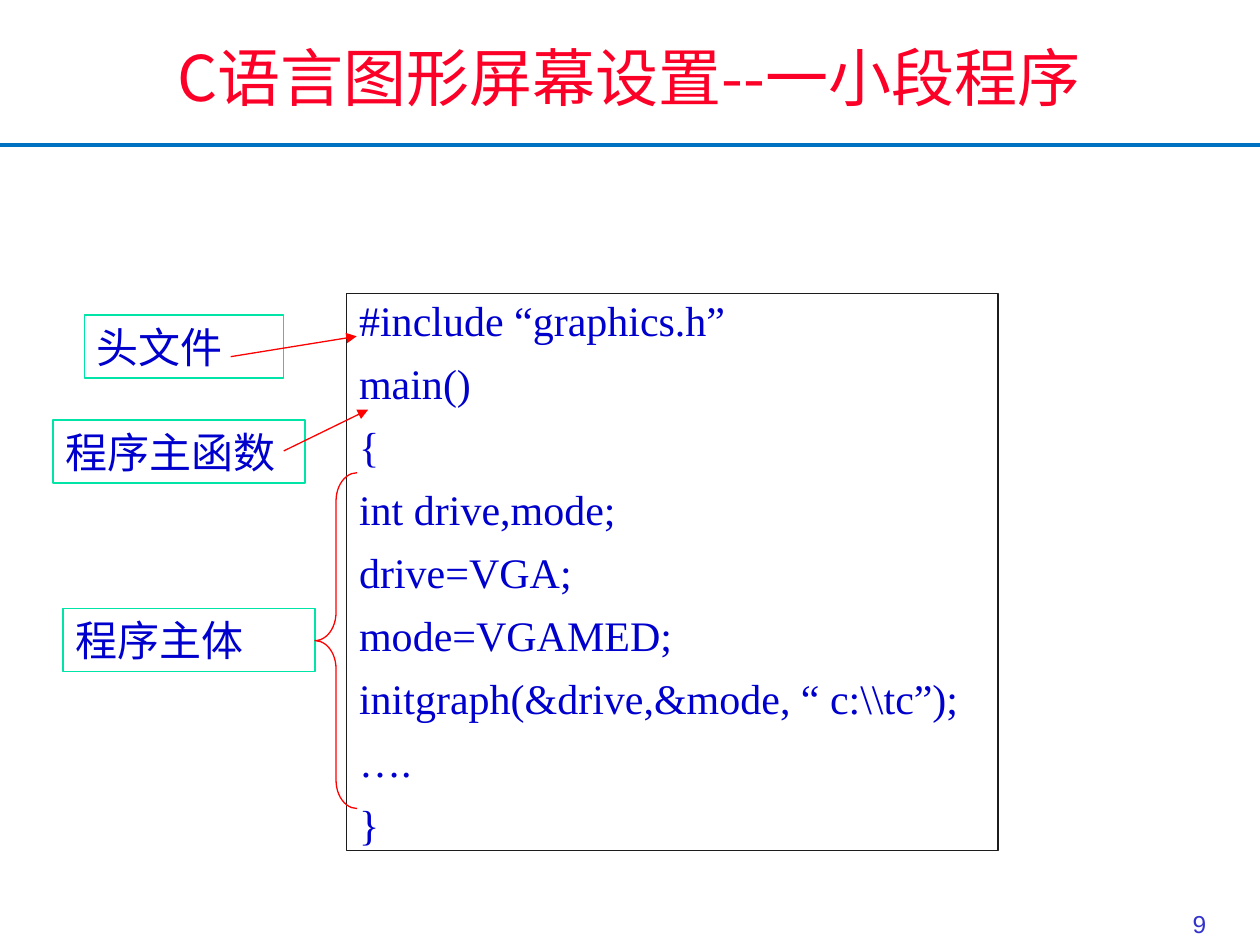
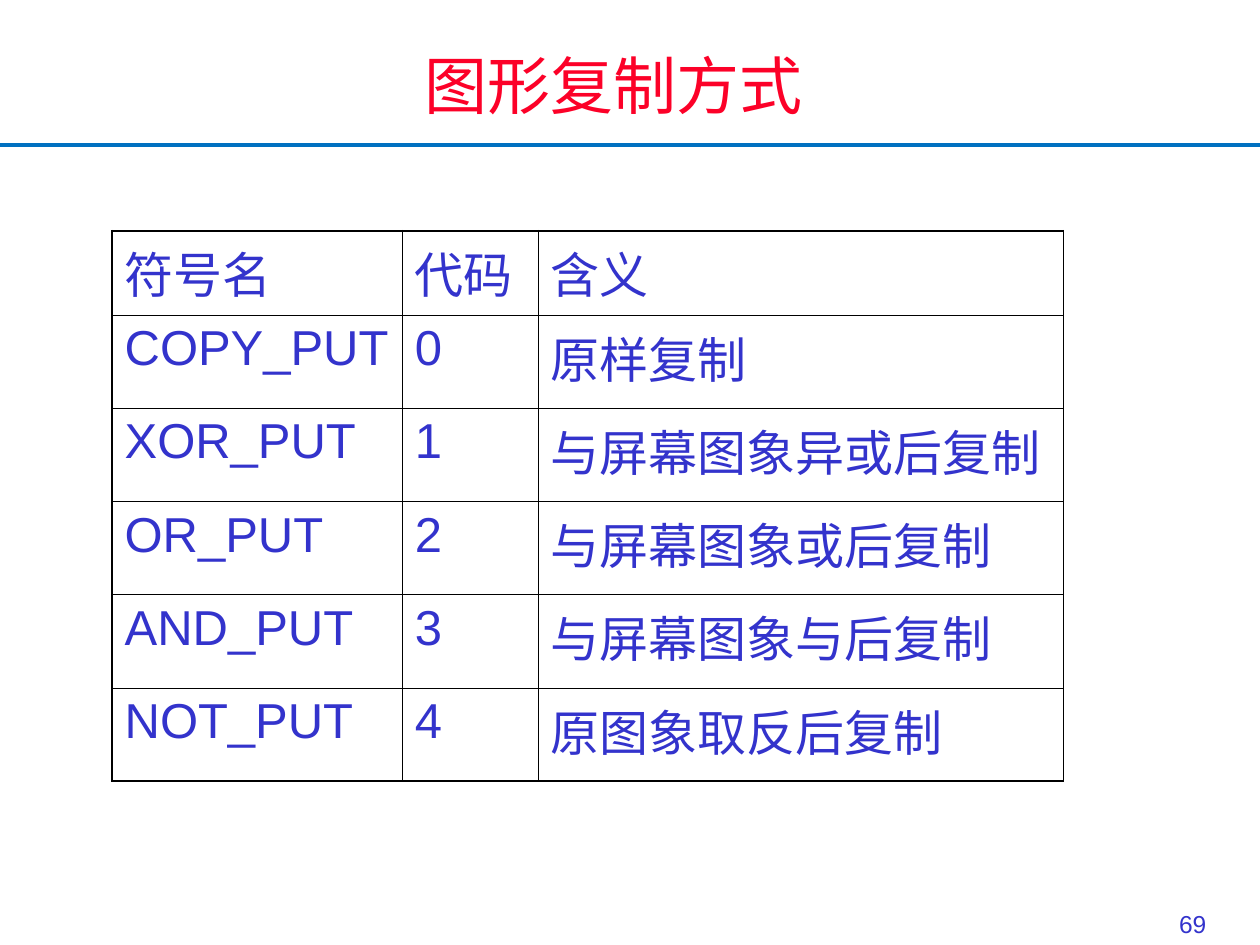
from lxml.etree import SubElement
from pptx import Presentation
from pptx.dml.color import RGBColor
from pptx.enum.lang import MSO_LANGUAGE_ID as Language
from pptx.enum.shapes import MSO_CONNECTOR as Connector, MSO_SHAPE as Shape
from pptx.enum.text import MSO_ANCHOR as Anchor, MSO_AUTO_SIZE as AutoSize, PP_ALIGN as Align
from pptx.oxml.ns import qn
from pptx.util import Cm, Pt

WHITE = RGBColor(0xFF, 0xFF, 0xFF)
BLACK = RGBColor(0x1C, 0x1C, 0x1C)
TITLE_RED = RGBColor(0xFC, 0x01, 0x28)
ARROW_RED = RGBColor(0xFF, 0x00, 0x00)
RULE_BLUE = RGBColor(0x00, 0x70, 0xC0)
CODE_BLUE = RGBColor(0x00, 0x00, 0xCC)
TEXT_BLUE = RGBColor(0x33, 0x33, 0xCC)
LABEL_GREEN = RGBColor(0x00, 0xE4, 0xA8)

CHINESE = Language.SIMPLIFIED_CHINESE
TITLE = {"name": "Noto Sans CJK SC", "size": Pt(36), "color": TITLE_RED, "language_id": CHINESE}
NUMBER = {"name": "Arial", "size": Pt(14), "color": TEXT_BLUE}
CODE = {"name": "Times New Roman", "size": Pt(24), "color": CODE_BLUE}
LABEL = {"name": "Roboto", "size": Pt(24), "color": CODE_BLUE, "language_id": CHINESE}
CELL = {"name": "Arial", "size": Pt(28), "color": TEXT_BLUE, "language_id": CHINESE}


def write_text(frame, lines, style, align=Align.LEFT, anchor=Anchor.MIDDLE, gap=0):
    frame.auto_size = AutoSize.NONE
    frame.word_wrap = True
    frame.vertical_anchor = anchor
    for index, line in enumerate(lines):
        paragraph = frame.paragraphs[0] if index == 0 else frame.add_paragraph()
        paragraph.alignment = align
        paragraph.space_before = Pt(gap if index else 0)
        run = paragraph.add_run()
        run.text = line
        for key, value in style.items():
            if key == "color":
                run.font.color.rgb = value
            else:
                setattr(run.font, key, value)


def draw_line(slide, ends, color, width):
    line = slide.shapes.add_connector(Connector.STRAIGHT, *[Cm(value) for value in ends])
    line.line.color.rgb = color
    line.line.width = Pt(width)
    SubElement(line.element.spPr, qn("a:effectLst"))
    return line


presentation = Presentation()
presentation.slide_width = Cm(25.4)
presentation.slide_height = Cm(19.05)

slides = []
for heading, number, box, align in [
    ("C语言图形屏幕设置--一小段程序", "9", (3.33, 0.64, 19.86, 2.08), Align.LEFT),
    ("图形复制方式", "69", (2.84, 0.81, 19.05, 1.73), Align.CENTER),
]:
    slide = presentation.slides.add_slide(presentation.slide_layouts[5])
    slides.append(slide)
    title = slide.shapes.title
    title.left, title.top, title.width, title.height = [Cm(value) for value in box]
    title.fill.solid()
    title.fill.fore_color.rgb = WHITE
    write_text(title.text_frame, [heading], TITLE, align, Anchor.TOP)
    page_number = slide.shapes.add_textbox(Cm(23.22), Cm(17.78), Cm(1.35), Cm(1.27))
    write_text(page_number.text_frame, [number], NUMBER, Align.RIGHT, Anchor.BOTTOM)

code_slide, table_slide = slides
title_rule = draw_line(code_slide, (0, 2.92, 25.4, 2.92), RULE_BLUE, 2)
presentation.slide_master.shapes.element.append(title_rule.element)

code_lines = [
    "#include “graphics.h”",
    "main()",
    "{",
    "int drive,mode;",
    "drive=VGA;",
    "mode=VGAMED;",
    "initgraph(&drive,&mode, “ c:\\\\tc”);",
    "….",
    "}",
]
for lines, box, style, border in [
    (code_lines, (6.99, 5.92, 13.13, 11.23), CODE, BLACK),
    (["头文件"], (1.7, 6.35, 4.01, 1.27), LABEL, LABEL_GREEN),
    (["程序主函数"], (1.07, 8.47, 5.08, 1.27), LABEL, LABEL_GREEN),
    (["程序主体"], (1.27, 12.27, 5.08, 1.27), LABEL, LABEL_GREEN),
]:
    shape = code_slide.shapes.add_shape(Shape.RECTANGLE, *[Cm(value) for value in box])
    shape.shadow.inherit = False
    shape.fill.background()
    shape.line.color.rgb = border
    shape.line.width = Pt(0.75)
    write_text(shape.text_frame, lines, style, gap=7.2)

for ends in [(4.65, 7.19, 7.19, 6.78), (5.72, 9.09, 7.42, 8.26)]:
    arrow = draw_line(code_slide, ends, ARROW_RED, 0.75)
    SubElement(arrow.line._get_or_add_ln(), qn("a:tailEnd"), type="triangle")

brace = code_slide.shapes.add_shape(Shape.LEFT_BRACE, Cm(6.35), Cm(9.53), Cm(0.85), Cm(6.77))
brace.adjustments[0] = 0.67
brace.shadow.inherit = False
brace.fill.background()
brace.line.color.rgb = ARROW_RED
brace.line.width = Pt(0.75)

rows = [
    ("符号名", "代码", "含义"),
    ("COPY_PUT", "0", "原样复制"),
    ("XOR_PUT", "1", "与屏幕图象异或后复制"),
    ("OR_PUT", "2", "与屏幕图象或后复制"),
    ("AND_PUT", "3", "与屏幕图象与后复制"),
    ("NOT_PUT", "4", "原图象取反后复制"),
]
column_widths = [5.85, 2.74, 10.59]
row_heights = [1.7] + [1.88] * 5
table = table_slide.shapes.add_table(
    len(rows), len(column_widths), Cm(2.26), Cm(4.65), Cm(sum(column_widths)), Cm(sum(row_heights))
).table
table.first_row = False
table.horz_banding = False
for column, width in zip(table.columns, column_widths):
    column.width = Cm(width)
for row, height in zip(table.rows, row_heights):
    row.height = Cm(height)

for row_index, row in enumerate(rows):
    for column_index, text in enumerate(row):
        cell = table.cell(row_index, column_index)
        properties = cell._tc.get_or_add_tcPr()
        outer_sides = {
            "a:lnL": column_index == 0,
            "a:lnR": column_index == len(row) - 1,
            "a:lnT": row_index == 0,
            "a:lnB": row_index == len(rows) - 1,
        }
        for side, is_outer in outer_sides.items():
            border = SubElement(properties, qn(side), w=str(Pt(1.08 if is_outer else 0.45)))
            fill = SubElement(border, qn("a:solidFill"))
            SubElement(fill, qn("a:srgbClr"), val="000000")
        cell.fill.background()
        cell.vertical_anchor = Anchor.TOP
        paragraph = cell.text_frame.paragraphs[0]
        run = paragraph.add_run()
        run.text = text
        for key, value in CELL.items():
            if key == "color":
                run.font.color.rgb = value
            else:
                setattr(run.font, key, value)

presentation.save("out.pptx")
